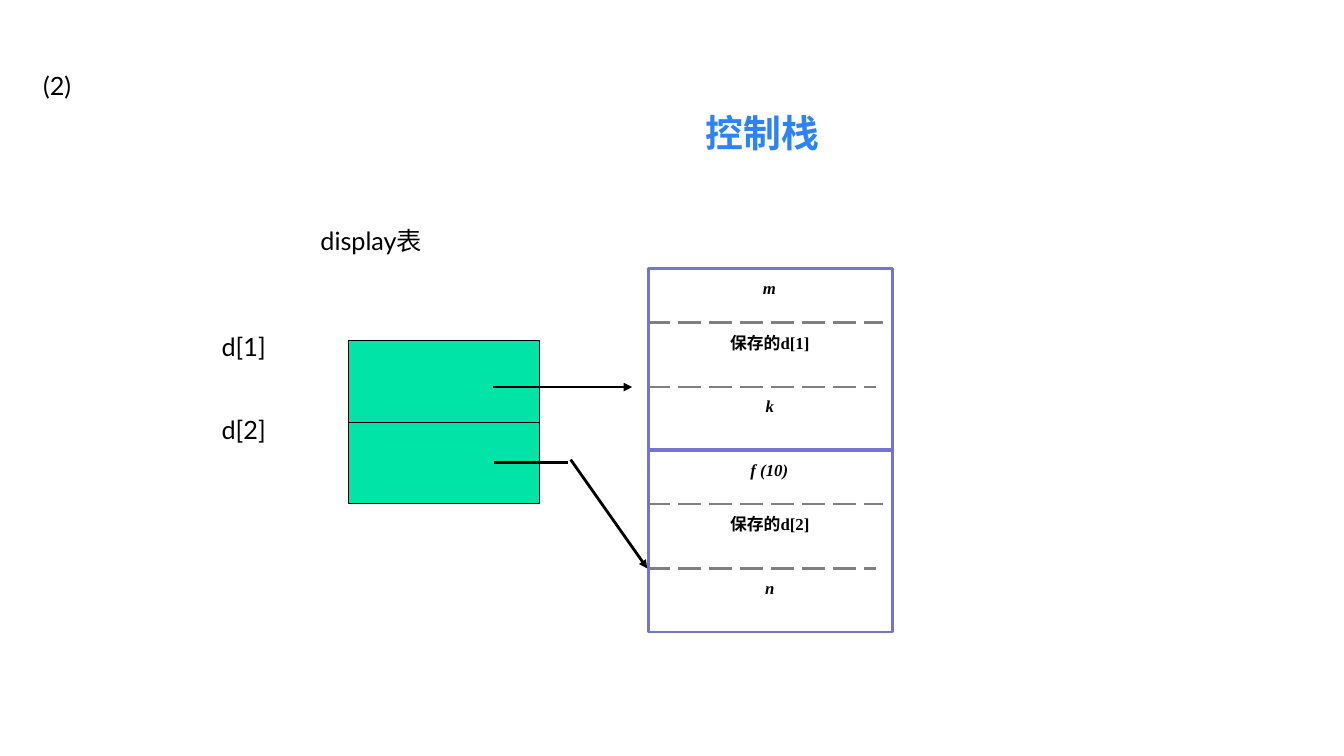
from pptx import Presentation
from pptx.dml.color import RGBColor
from pptx.enum.dml import MSO_LINE
from pptx.enum.shapes import MSO_CONNECTOR, MSO_SHAPE
from pptx.enum.text import MSO_ANCHOR, PP_ALIGN
from pptx.oxml.ns import qn
from pptx.util import Pt
from lxml.etree import SubElement

PX = 9144  # EMU per px, 100 px to the inch
BLACK = RGBColor(0x00, 0x00, 0x00)
GRAY = RGBColor(0x80, 0x80, 0x80)
BLUE = RGBColor(0x2D, 0x83, 0xF4)
VIOLET = RGBColor(0x75, 0x75, 0xD1)
GREEN = RGBColor(0x00, 0xE4, 0xA8)
LATO, CJK, TIMES = "Lato", "Noto Sans CJK SC", "Times New Roman"


def add_run(p, text, font=LATO, size=18, color=BLACK, bold=False, italic=False):
    r = p.add_run()
    r.text = text
    f = r.font
    f.name, f.size, f.bold, f.italic = font, Pt(size), bold, italic
    f.color.rgb = color
    SubElement(r._r.get_or_add_rPr(), qn("a:ea")).set("typeface", CJK)


class Deck:
    def __init__(self, width, height):
        self.prs = Presentation()
        self.prs.slide_width, self.prs.slide_height = width * PX, height * PX
        self.s = self.prs.slides.add_slide(self.prs.slide_layouts[5])

    def frame(self, sp, box, runs, inset, align, **fmt):
        """Place a text shape and fill it with (text, font) runs."""
        sp.left, sp.top, sp.width, sp.height = (v * PX for v in box)
        tf = sp.text_frame
        tf.word_wrap = True
        tf.vertical_anchor = MSO_ANCHOR.TOP
        tf.margin_left = tf.margin_right = inset[0] * PX
        tf.margin_top = tf.margin_bottom = inset[1] * PX
        p = tf.paragraphs[0]
        p.alignment = align
        for text, font in runs:
            add_run(p, text, font, **fmt)

    def title(self, text, *box):
        self.frame(self.s.shapes.title, box, [(text, CJK)], (7, 4),
                   PP_ALIGN.CENTER, size=27, color=BLUE, bold=True)

    def text(self, text, *box):
        sp = self.s.shapes.add_textbox(0, 0, 0, 0)
        self.frame(sp, box, [(text, LATO)], (10, 5), PP_ALIGN.LEFT)

    def field(self, runs, *box, italic=False):
        sp = self.s.shapes.add_textbox(0, 0, 0, 0)
        self.frame(sp, box, runs, (10, 1), PP_ALIGN.CENTER,
                   size=12, bold=True, italic=italic)

    def rect(self, *box, line, weight, fill=None):
        sp = self.s.shapes.add_shape(MSO_SHAPE.RECTANGLE, *(v * PX for v in box))
        sp.shadow.inherit = False
        if fill is None:
            sp.fill.background()
        else:
            sp.fill.solid()
            sp.fill.fore_color.rgb = fill
        sp.line.color.rgb = line
        sp.line.width = Pt(weight)

    def line(self, *ends, color=BLACK, dashed=False, arrow=False):
        c = self.s.shapes.add_connector(MSO_CONNECTOR.STRAIGHT, *(v * PX for v in ends))
        c.line.color.rgb = color
        c.line.width = Pt(2)
        if dashed:
            c.line.dash_style = MSO_LINE.LONG_DASH
        if arrow:
            SubElement(c.line._get_or_add_ln(), qn("a:tailEnd")).set("type", "triangle")
        SubElement(c._element.spPr, qn("a:effectLst"))

    def record(self, top, first, saved, last):
        """Draw an activation record with three fields split by dashed lines."""
        for dy, right in ((54, 876), (118, 869)):
            self.line(642, top + dy, right, top + dy, color=GRAY, dashed=True)
        self.rect(643, top, 242, 181, line=VIOLET, weight=2)
        self.field([(first, TIMES)], 642, top + 9, 242, 45, italic=True)
        self.field([("保存的", CJK), (saved, TIMES)], 642, top + 63, 243, 39)
        self.field([(last, TIMES)], 642, top + 126, 243, 39, italic=True)


def main():
    d = Deck(1333, 750)
    d.title("控制栈", 592, 105, 328, 142)
    d.text("(2)", 33, 65, 56, 40)
    d.text("display表", 308, 219, 307, 108)

    d.record(266, "m", "d[1]", "k")
    d.record(446, "f (10)", "d[2]", "n")

    for i in range(2):
        d.text(f"d[{i + 1}]", 210, 324 + 82 * i, 240, 108)
        d.rect(346, 338 + 81 * i, 189, 81, line=BLACK, weight=0.75, fill=GREEN)

    d.line(489, 384, 627, 384, arrow=True)
    d.line(490, 459, 563, 459)
    d.line(566, 456, 642, 564, arrow=True)
    d.prs.save("out.pptx")


if __name__ == "__main__":
    main()
